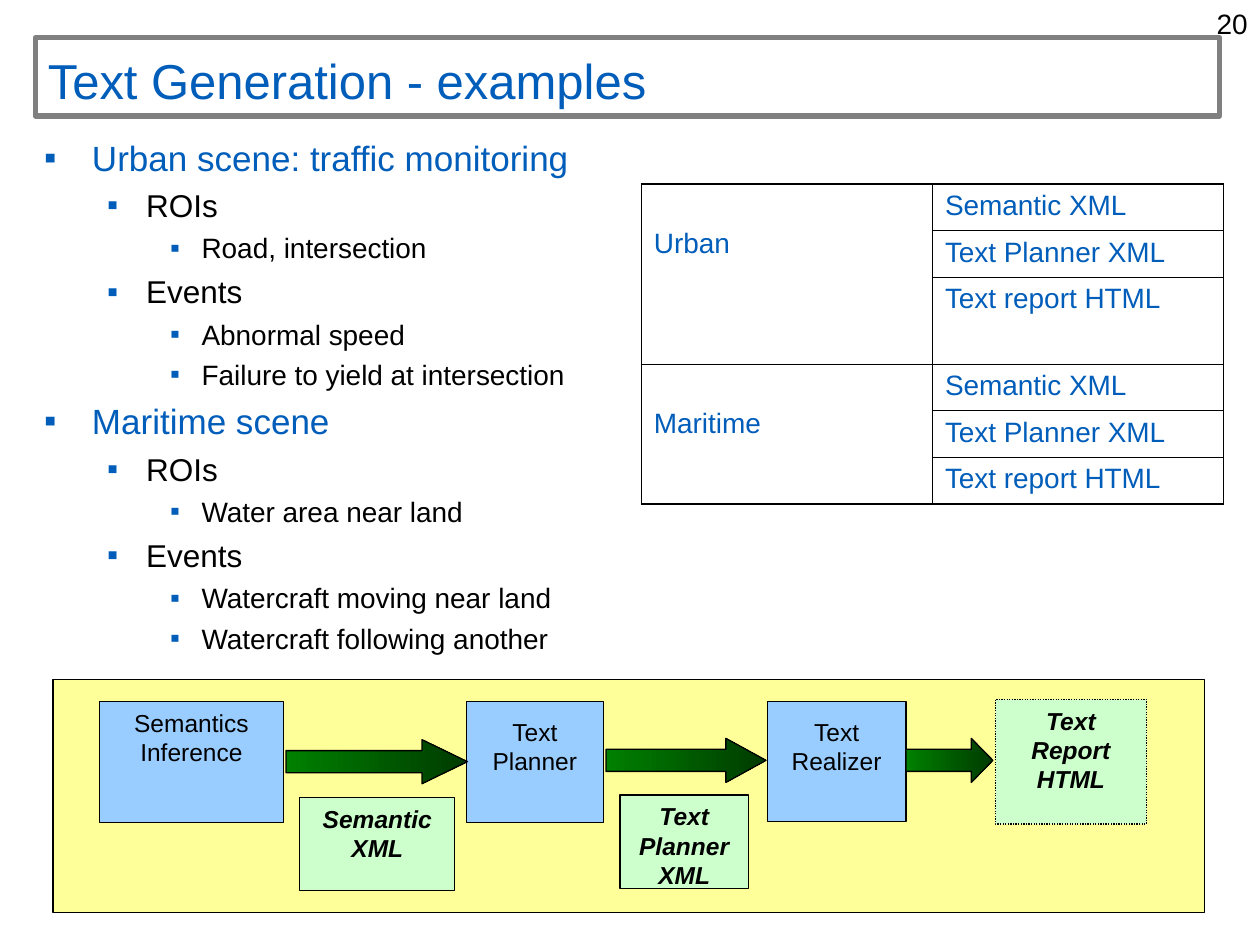
import pptx
import pptx.util
import pptx.dml.color
import pptx.enum.dml
import pptx.enum.shapes
import pptx.enum.text
import pptx.oxml
import pptx.oxml.ns
from pptx.util import Inches

Pt = pptx.util.Pt
SHAPE = pptx.enum.shapes.MSO_SHAPE
ALIGN = pptx.enum.text.PP_ALIGN
ANCHOR = pptx.enum.text.MSO_ANCHOR
FONT = "Arial"
COLORS = {
    "blue": "005DBA", "black": "000000", "gray": "808080",
    "yellow": "FFFF99", "green": "CCFFCC", "sky": "99CCFF",
    "leaf": "008000", "pine": "003B00",
}

# level: left margin, hanging indent, space before, size, colour
LEVELS = [
    (0.38, 0.38, 5, 20, "blue"),
    (0.81, 0.31, 4.5, 18, "black"),
    (1.25, 0.25, 4, 16, "black"),
]
SCENES = [
    (0, "Urban scene: traffic monitoring"),
    (1, "ROIs"),
    (2, "Road, intersection"),
    (1, "Events"),
    (2, "Abnormal speed"),
    (2, "Failure to yield at intersection"),
    (0, "Maritime scene"),
    (1, "ROIs"),
    (2, "Water area near land"),
    (1, "Events"),
    (2, "Watercraft moving near land"),
    (2, "Watercraft following another"),
]
FILES = ["Semantic XML", "Text Planner XML", "Text report HTML"]

# place, side inset, top inset, lines
STAGES = [
    ((0.79, 5.57, 1.46, 0.96), 0, 0.05, ["Semantics", "Inference"]),
    ((3.7, 5.57, 1.09, 0.96), 0.1, 0.12, ["Text", "Planner"]),
    ((6.09, 5.57, 1.1, 0.95), 0, 0.12, ["Text", "Realizer"]),
]
OUTPUTS = [
    ((2.38, 6.33, 1.23, 0.74), ["Semantic", "XML"]),
    ((4.92, 6.31, 1.02, 0.74), ["Text Planner", "XML"]),
    ((7.9, 5.55, 1.2, 0.99), ["Text", "Report", "HTML"]),
]
# place, head length as a share of the height
ARROWS = [
    ((2.27, 5.87, 1.44, 0.35), 1.03),
    ((4.81, 5.86, 1.27, 0.35), 0.91),
    ((7.19, 5.86, 0.69, 0.35), 0.49),
]


def rgb(name):
    return pptx.dml.color.RGBColor.from_string(COLORS[name])


def inch(place):
    return [Inches(n) for n in place]


def move(shape, place):
    shape.left, shape.top, shape.width, shape.height = inch(place)


def inset(frame, side, top):
    frame.margin_left = frame.margin_right = Inches(side)
    frame.margin_top, frame.margin_bottom = Inches(top), Inches(0.05)


def write(para, text, size, color, strong=False):
    run = para.add_run()
    run.text = text
    font = run.font
    font.name, font.size = FONT, Pt(size)
    font.color.rgb = rgb(color)
    font.bold = font.italic = strong


def add_xml(parent, xml):
    space = pptx.oxml.ns.nsdecls("a")
    parent.append(pptx.oxml.parse_xml(xml.replace(" ", f" {space} ", 1)))


def add_title(slide):
    title = slide.shapes.title
    move(title, (0.28, 0.3, 9.4, 0.62))
    title.line.color.rgb = rgb("gray")
    title.line.width = Pt(3)
    frame = title.text_frame
    frame.auto_size = pptx.enum.text.MSO_AUTO_SIZE.NONE
    frame.vertical_anchor = ANCHOR.BOTTOM
    frame.paragraphs[0].alignment = ALIGN.LEFT
    write(frame.paragraphs[0], "Text Generation - examples", 28, "blue")


def add_page(slide):
    box = slide.shapes.add_textbox(*inch((9.35, 0, 0.65, 0.37)))
    box.text_frame.word_wrap = True
    para = box.text_frame.paragraphs[0]
    para.alignment = ALIGN.RIGHT
    write(para, "20", 16, "black")


def add_list(slide):
    body = slide.placeholders[1]
    move(body, (0.25, 1.03, 4.61, 4.49))
    frame = body.text_frame
    frame.auto_size = pptx.enum.text.MSO_AUTO_SIZE.NONE
    for i, (level, text) in enumerate(SCENES):
        para = frame.add_paragraph() if i else frame.paragraphs[0]
        left, hang, gap, size, color = LEVELS[level]
        para.level = level
        para.space_before = Pt(gap if i else 0)
        props = para._p.get_or_add_pPr()
        props.set("marL", str(Inches(left)))
        props.set("indent", str(-Inches(hang)))
        add_xml(props, f'<a:buClr ><a:srgbClr val="{COLORS["blue"]}"/></a:buClr>')
        add_xml(props, '<a:buFont typeface="Arial"/>')
        add_xml(props, '<a:buChar char="▪"/>')
        write(para, text, size, color)


def fill_cell(cell, text, top, edges):
    """Write one cell; edges names the sides on the table's outline."""
    props = cell._tc.get_or_add_tcPr()
    for side in "LRTB":
        width = Pt(1.08 if side in edges else 0.45)
        add_xml(props, f'<a:ln{side} w="{width}"><a:solidFill>'
                       f'<a:srgbClr val="{COLORS["black"]}"/>'
                       f'</a:solidFill></a:ln{side}>')
    cell.fill.background()
    inset(cell, 0.1, top)
    write(cell.text_frame.paragraphs[0], text, 16, "blue")


def add_grid(slide):
    heights = [0.37, 0.37, 0.69, 0.37, 0.37, 0.37]
    last = len(heights) - 1
    place = inch((5.09, 1.46, 4.62, sum(heights)))
    table = slide.shapes.add_table(len(heights), 2, *place).table
    table.first_row = table.horz_banding = False
    for row, height in zip(table.rows, heights):
        row.height = Inches(height)
    for start, scene in ((0, "Urban"), (3, "Maritime")):
        head = table.cell(start, 0)
        head.merge(table.cell(start + 2, 0))
        fill_cell(head, scene, 0.35, "LB" if start else "LT")
        for r, text in enumerate(FILES, start):
            edges = "R" + "T" * (r == 0) + "B" * (r == last)
            fill_cell(table.cell(r, 1), text, 0.05, edges)


def add_box(group, place, color, kind=SHAPE.RECTANGLE):
    box = group.shapes.add_shape(kind, *inch(place))
    box.shadow.inherit = False
    if color:
        box.fill.solid()
        box.fill.fore_color.rgb = rgb(color)
    box.line.color.rgb = rgb("black")
    box.line.width = Pt(0.75)
    return box


def label(box, lines, side, top, strong=False):
    frame = box.text_frame
    frame.word_wrap = True
    frame.vertical_anchor = ANCHOR.TOP
    inset(frame, side, top)
    for i, text in enumerate(lines):
        para = frame.add_paragraph() if i else frame.paragraphs[0]
        para.alignment = ALIGN.CENTER
        write(para, text, 14, "black", strong)


def add_arrow(group, place, head):
    arrow = add_box(group, place, None, SHAPE.RIGHT_ARROW)
    arrow.adjustments[0], arrow.adjustments[1] = 0.5, head
    arrow.fill.gradient()
    arrow.fill.gradient_angle = 0
    for stop, color in zip(arrow.fill.gradient_stops, ("leaf", "pine")):
        stop.color.rgb = rgb(color)


def add_flow(slide):
    group = slide.shapes.add_group_shape()
    add_box(group, (0.42, 5.39, 9.14, 1.85), "yellow")
    for place, side, top, lines in STAGES:
        label(add_box(group, place, "sky"), lines, side, top)
    for place, lines in OUTPUTS:
        box = add_box(group, place, "green")
        label(box, lines, 0.1, 0.05, True)
    box.line.dash_style = pptx.enum.dml.MSO_LINE.ROUND_DOT  # final report
    for place, head in ARROWS:
        add_arrow(group, place, head)


def main():
    deck = pptx.Presentation()
    deck.slide_width, deck.slide_height = Inches(10), Inches(7.5)
    slide = deck.slides.add_slide(deck.slide_layouts[1])
    add_page(slide)
    add_title(slide)
    add_list(slide)
    add_grid(slide)
    add_flow(slide)
    deck.save("out.pptx")


if __name__ == "__main__":
    main()
